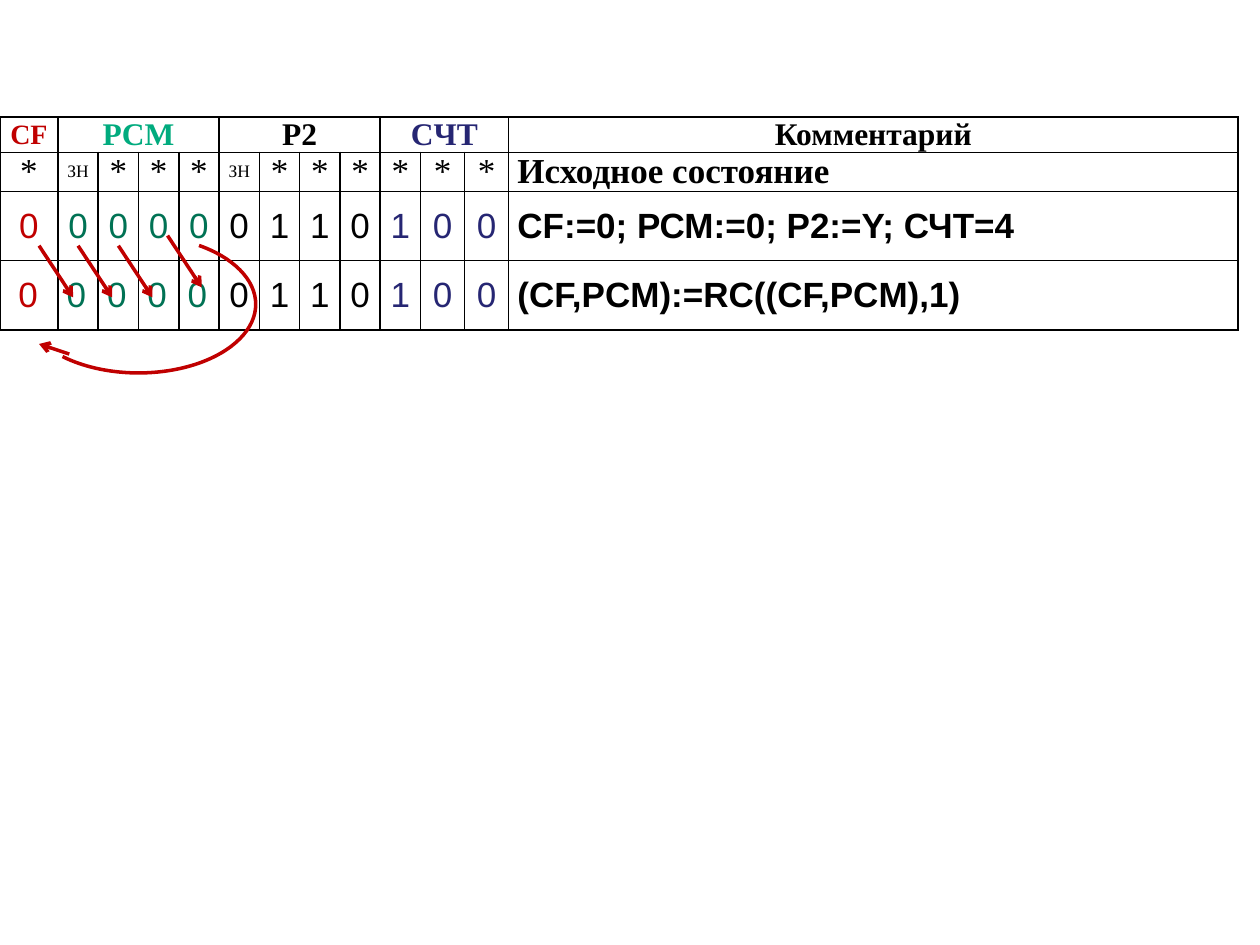
from lxml.etree import SubElement
from pptx import Presentation
from pptx.dml.color import RGBColor
from pptx.enum.shapes import MSO_CONNECTOR as Connector, MSO_SHAPE as Shape
from pptx.enum.text import MSO_ANCHOR as Anchor, PP_ALIGN as Align
from pptx.oxml.ns import qn
from pptx.util import Inches, Pt

RED, BLACK, NAVY, GREEN = "C00000", "000000", "262673", "007254"
SERIF, SANS = "Times New Roman", "Arial"
COLUMNS = [0.46] + [0.32] * 9 + [0.35] * 2 + [5.79]
ROWS = [0.28, 0.28, 0.55, 0.55]
GROUPS = [
    ("CF", 1, RED, RED, 16),
    ("PCM", 4, "00AB7E", GREEN, 18),
    ("P2", 4, BLACK, BLACK, 18),
    ("CЧТ", 3, NAVY, NAVY, 18),
    ("Комментарий", 1, BLACK, BLACK, 18),
]
BODY = [
    ["*", "ЗН", "*", "*", "*", "ЗН", *"******", "Исходное состояние"],
    [*"000000110100", "CF:=0; РСМ:=0; Р2:=Y; СЧТ=4"],
    [" 0", *"00000110100", "(CF,PCM):=RС((CF,PCM),1)"],
]


def color(value):
    return RGBColor.from_string(value)


def write(cell, text, size=20, font=SERIF, ink=BLACK, bold=False, align=Align.CENTER):
    cell.margin_left = cell.margin_right = Inches(0.07)
    cell.margin_top = cell.margin_bottom = 0
    cell.vertical_anchor = Anchor.MIDDLE
    para = cell.text_frame.paragraphs[0]
    para.alignment = align
    para.space_after = Pt(3)
    span = para.add_run()
    span.text = text
    span.font.size = Pt(size)
    span.font.name = font
    span.font.bold = bold
    span.font.color.rgb = color(ink)


def frame_cell(cell):
    properties = cell._tc.get_or_add_tcPr()
    for side in ("a:lnL", "a:lnR", "a:lnT", "a:lnB"):
        border = SubElement(properties, qn(side), w=str(Pt(1)))
        fill = SubElement(border, qn("a:solidFill"))
        SubElement(fill, qn("a:srgbClr"), val=BLACK)
    cell.fill.background()


def add_register_table(page, left, top):
    table = page.shapes.add_table(
        len(ROWS), len(COLUMNS), Inches(left), Inches(top),
        Inches(sum(COLUMNS)), Inches(sum(ROWS)),
    ).table
    table.first_row = table.horz_banding = False
    for column, width in zip(table.columns, COLUMNS):
        column.width = Inches(width)
    for row, height in zip(table.rows, ROWS):
        row.height = Inches(height)
    for cell in table.iter_cells():
        frame_cell(cell)

    inks = []
    for name, width, header_ink, ink, size in GROUPS:
        start = len(inks)
        inks += [ink] * width
        write(table.cell(0, start), name, size, ink=header_ink, bold=True)
        if width > 1:
            table.cell(0, start).merge(table.cell(0, start + width - 1))

    last = len(COLUMNS) - 1
    for row, texts in enumerate(BODY, 1):
        for column, text in enumerate(texts):
            shifted = row == 3 and column < 5
            write(
                table.cell(row, column), text,
                size=10 if text == "ЗН" else 20,
                font=SERIF if row == 1 else SANS,
                ink=BLACK if row == 1 else inks[column],
                bold=column == last,
                align=Align.LEFT if shifted or column == last else Align.CENTER,
            )


def add_arrow(page, left, top, across, down):
    arrow = page.shapes.add_connector(
        Connector.STRAIGHT, Inches(left), Inches(top),
        Inches(left + across), Inches(top + down),
    )
    arrow.line.color.rgb = color(RED)
    arrow.line.width = Pt(2)
    SubElement(arrow.line._get_or_add_ln(), qn("a:tailEnd"), type="arrow")
    SubElement(arrow._element.spPr, qn("a:effectLst"))


def add_rotation(page, left, top):
    for x, y in [(0.31, 1.02), (0.62, 1.02), (0.94, 1.02), (1.33, 0.94)]:
        add_arrow(page, left + x, top + y, 0.27, 0.41)
    add_arrow(page, left + 0.55, top + 1.88, -0.24, -0.08)
    arc = page.shapes.add_shape(
        Shape.ARC, Inches(left + 0.17), Inches(top + 0.94), Inches(1.86), Inches(1.09)
    )
    arc.adjustments[0], arc.adjustments[1] = 189.48, 87.3
    arc.shadow.inherit = False
    arc.fill.background()
    arc.line.color.rgb = color(RED)
    arc.line.width = Pt(2)


def main():
    deck = Presentation()
    deck.slide_width, deck.slide_height = Inches(10), Inches(7.5)
    page = deck.slides.add_slide(deck.slide_layouts[6])
    add_register_table(page, 0, 0.93)
    add_rotation(page, 0, 0.93)
    deck.save("out.pptx")


if __name__ == "__main__":
    main()
